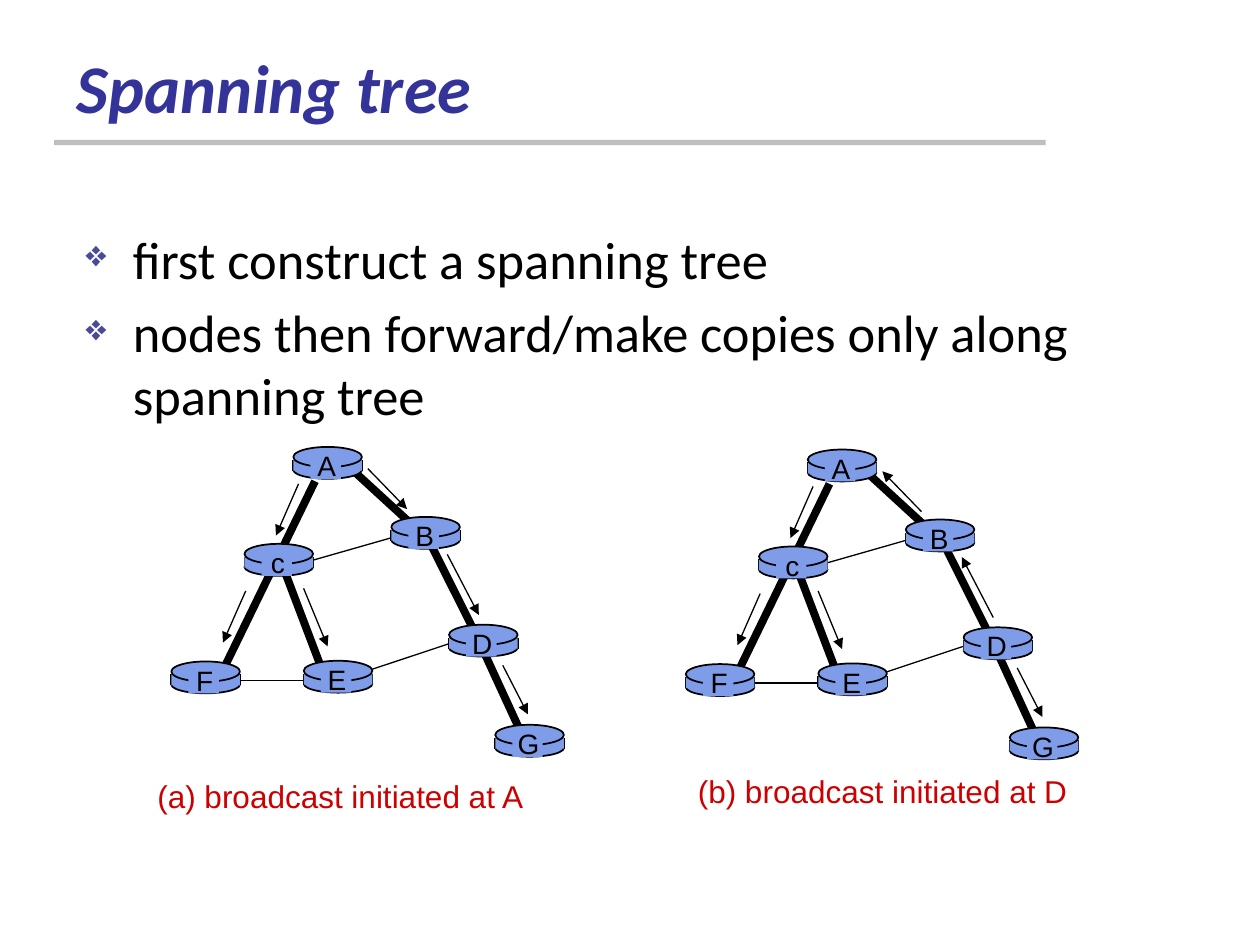
import pptx
import pptx.dml.color
import pptx.enum.shapes
import pptx.enum.text
import pptx.oxml.ns
import pptx.util
import lxml.etree

Pt = pptx.util.Pt
SHAPE = pptx.enum.shapes.MSO_SHAPE
ALIGN = pptx.enum.text.PP_ALIGN
ANCHOR = pptx.enum.text.MSO_ANCHOR
BLACK, ROUTER = "000000", "7E9CE8"


def rgb(value):
    """Turn a hex string into a colour."""
    return pptx.dml.color.RGBColor.from_string(value)


def add_child(parent, tag, **attrs):
    """Append a DrawingML element and return it."""
    return lxml.etree.SubElement(parent, pptx.oxml.ns.qn(tag), attrs)


def write(tf, lines, size=18, font="Arial", color=BLACK, bold=False,
          italic=False, align=ALIGN.LEFT, before=0, bullet=None):
    """Write one paragraph per line; bullet is (character, colour, indent)."""
    for i, line in enumerate(lines):
        p = tf.paragraphs[0] if i == 0 else tf.add_paragraph()
        p.alignment = align
        p.space_before = Pt(before)
        if bullet:
            char, bullet_color, indent = bullet
            pPr = p._p.get_or_add_pPr()
            pPr.set("marL", str(Pt(indent)))
            pPr.set("indent", str(-Pt(indent)))
            add_child(add_child(pPr, "a:buClr"), "a:srgbClr", val=bullet_color)
            add_child(pPr, "a:buSzPct", val="70000")
            add_child(pPr, "a:buChar", char=char)
        r = p.add_run()
        r.text = line
        f = r.font
        f.size, f.name, f.bold, f.italic = Pt(size), font, bold, italic
        f.color.rgb = rgb(color)


class Canvas:
    """The current slide and its drawing style."""

    def __init__(self, slide):
        self.slide = slide
        self.shapes = slide.shapes

    def begin_group(self):
        """Send the next elements to a new group."""
        self.shapes = self.slide.shapes.add_group_shape().shapes

    def end_group(self):
        """Send the next elements to the slide itself."""
        self.shapes = self.slide.shapes

    def shape(self, kind, x, y, w, h, fill, outline=None):
        """Add a filled preset shape."""
        sp = self.shapes.add_shape(kind, Pt(x), Pt(y), Pt(w), Pt(h))
        sp.shadow.inherit = False
        sp.fill.solid()
        sp.fill.fore_color.rgb = rgb(fill)
        if outline:
            sp.line.color.rgb = rgb(outline)
            sp.line.width = Pt(1)
        else:
            sp.line.fill.background()

    def line(self, x1, y1, x2, y2, width=0.75, arrow=False):
        """Add a straight line, with an arrowhead at its end if asked."""
        cn = self.shapes.add_connector(
            pptx.enum.shapes.MSO_CONNECTOR.STRAIGHT, Pt(x1), Pt(y1), Pt(x2), Pt(y2))
        cn.line.color.rgb = rgb(BLACK)
        cn.line.width = Pt(width)
        if arrow:
            add_child(cn.line._get_or_add_ln(), "a:tailEnd", type="triangle")
        add_child(cn._element.spPr, "a:effectLst")

    def text(self, x, y, w, h, lines, wrap=True, anchor=ANCHOR.TOP, **style):
        """Add a text box."""
        tf = self.shapes.add_textbox(Pt(x), Pt(y), Pt(w), Pt(h)).text_frame
        tf.word_wrap = wrap
        tf.vertical_anchor = anchor
        write(tf, lines, **style)

    def router(self, name, x, y):
        """Add a disc-shaped router with its letter."""
        w = 39.2
        self.begin_group()
        self.shape(SHAPE.OVAL, x, y + 8.2, w, 10, ROUTER, BLACK)
        for side in (x, x + w):
            self.line(side, y + 7.4, side, y + 13.6, width=1)
        self.shape(SHAPE.RECTANGLE, x, y + 7.4, w, 6.2, ROUTER)
        self.shape(SHAPE.OVAL, x, y, w, 11.5, ROUTER, BLACK)
        self.shape(SHAPE.RECTANGLE, x + 9.8, y + 1.8, 17.4, 16.5, ROUTER)
        self.text(x + 5.5, y - 2.6, 27, 26.6, [name], wrap=False,
                  size=16, align=ALIGN.CENTER)
        self.end_group()

    def tree(self, dx, dy, reversed_arrows=()):
        """Add the network, moved by dx and dy."""
        for width, links in ((4.5, TREE_LINKS), (0.75, OTHER_LINKS)):
            for x1, y1, x2, y2 in links:
                self.line(x1 + dx, y1 + dy, x2 + dx, y2 + dy, width)
        for name, (x, y) in ROUTERS.items():
            self.router(name, x + dx, y + dy)
        for hop, (x1, y1, x2, y2) in ARROWS.items():
            start, end = (x1 + dx, y1 + dy), (x2 + dx, y2 + dy)
            if hop in reversed_arrows:
                start, end = end, start
            self.line(*start, *end, arrow=True)


ROUTERS = {"A": (167.6, 255.4), "B": (223.6, 295.4), "G": (283, 414.2),
           "D": (256.6, 357), "E": (173.6, 377.6), "c": (139.7, 310.8),
           "F": (97.9, 378)}
TREE_LINKS = [(244, 306.7, 270.7, 360), (271.4, 361.4, 298.8, 421),
              (183.6, 381.6, 162, 324.7), (203, 270, 238.3, 302.4),
              (180, 275, 126.7, 384.5)]
OTHER_LINKS = [(258.5, 367.2, 211, 383), (185.8, 388.8, 127.4, 388.8),
               (175.7, 321, 228.2, 306)]
ARROWS = {"Ac": (170.6, 276.5, 157.7, 306), "cF": (140.4, 337.7, 127.4, 367.2),
          "AB": (210.2, 267.8, 232.6, 290.9), "BD": (255.6, 316.8, 273.6, 351.4),
          "DG": (287.3, 380.2, 301.7, 408.2), "cE": (173.5, 336.2, 187.2, 369.4)}

prs = pptx.Presentation()
prs.slide_width, prs.slide_height = Pt(720), Pt(540)
s = Canvas(prs.slides.add_slide(prs.slide_layouts[6]))

s.shape(SHAPE.RECTANGLE, 31, 80, 566.6, 3, "BFBFBF")
s.tree(0, 0)
s.tree(294, 1.5, reversed_arrows=("AB", "BD"))
s.text(82.8, 440.6, 224.6, 28.8, ["(a) broadcast initiated at A"],
       wrap=False, color="CC0000")
s.text(391.7, 437.5, 225.4, 28.8, ["(b) broadcast initiated at D"],
       wrap=False, color="CC0000")
s.text(36.7, 20.2, 594, 56.2, ["Spanning tree"], anchor=ANCHOR.BOTTOM,
       size=39, font="Calibri", color="333399", bold=True, italic=True)
s.text(41.8, 126, 612, 146,
       ["first construct a spanning tree",
        "nodes then forward/make copies only along spanning tree"],
       size=30, font="Calibri", before=6, bullet=("❖", "4A4A97", 27))

prs.save("out.pptx")
